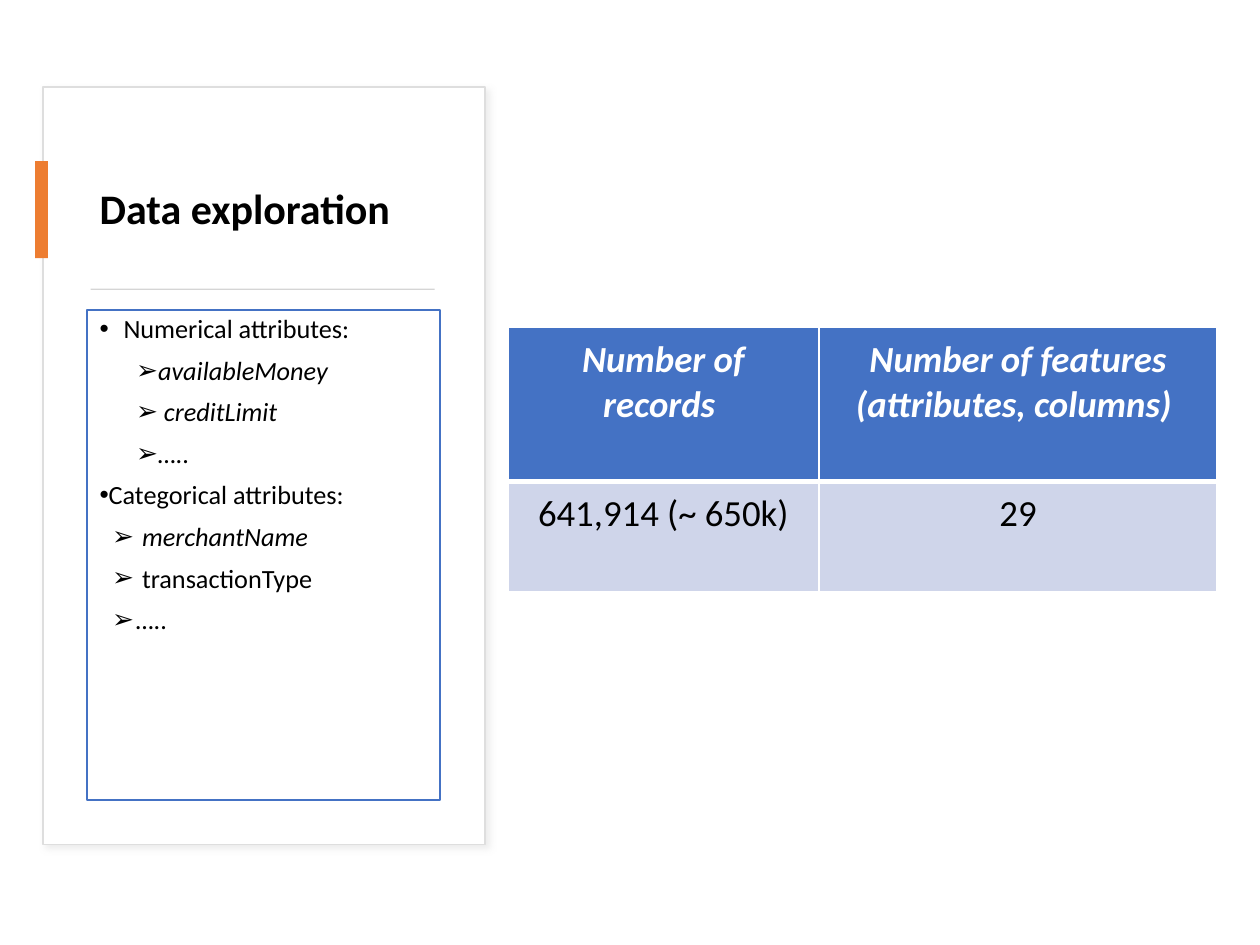
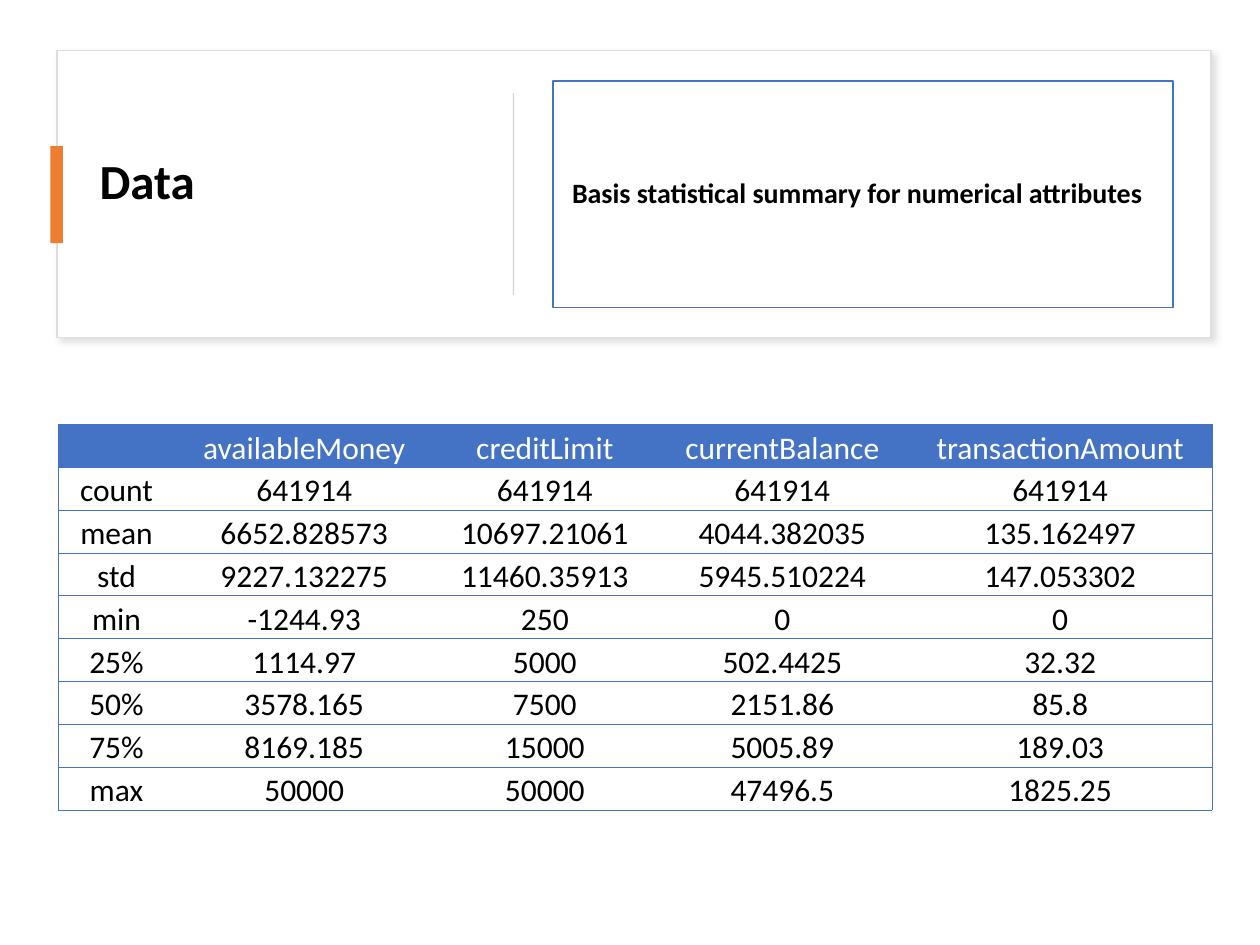
from dataclasses import dataclass

from lxml import etree
from pptx import Presentation
from pptx.dml.color import RGBColor
from pptx.enum.shapes import MSO_SHAPE
from pptx.enum.text import MSO_ANCHOR, MSO_AUTO_SIZE, PP_ALIGN
from pptx.oxml.ns import qn
from pptx.util import Inches, Pt

RECT = MSO_SHAPE.RECTANGLE
LEFT, CENTER = PP_ALIGN.LEFT, PP_ALIGN.CENTER
TOP, MIDDLE, BOTTOM = MSO_ANCHOR.TOP, MSO_ANCHOR.MIDDLE, MSO_ANCHOR.BOTTOM
NO_FIT = MSO_AUTO_SIZE.NONE
TITLE_AND_BODY = 1


@dataclass(frozen=True)
class Theme:
    """Colours, font and type sizes of the deck."""
    font: str = "Calibri"
    ink: str = "000000"
    paper: str = "FFFFFF"
    blue: str = "4472C4"
    pale_blue: str = "CFD5EA"
    orange: str = "ED7D31"
    card_line: str = "DEDEDE"
    divider: str = "D5D5D5"
    list_size: float = 15
    caption_size: float = 16
    stats_size: float = 18
    counts_size: float = 21


T = Theme()

ATTRIBUTES = [
    ("Numerical attributes:", "•", 0.19, -0.19, False),
    ("availableMoney", "➢", 0.46, -0.17, True),
    (" creditLimit", "➢", 0.46, -0.17, True),
    ("…..", "➢", 0.46, -0.17, True),
    ("Categorical attributes:", "•", 0.01, -0.19, False),
    (" merchantName", "➢", 0.29, -0.19, True),
    (" transactionType", "➢", 0.29, -0.19, False),
    ("…..", "➢", 0.29, -0.19, True),
]
COUNTS = [
    ("Number of records ", "Number of features (attributes, columns) "),
    ("641,914 (~ 650k)", "29"),
]
STATS = [
    ("", "availableMoney", "creditLimit", "currentBalance", "transactionAmount"),
    ("count", "641914", "641914", "641914", "641914"),
    ("mean", "6652.828573", "10697.21061", "4044.382035", "135.162497"),
    ("std", "9227.132275", "11460.35913", "5945.510224", "147.053302"),
    ("min", "-1244.93", "250", "0", "0"),
    ("25%", "1114.97", "5000", "502.4425", "32.32"),
    ("50%", "3578.165", "7500", "2151.86", "85.8"),
    ("75%", "8169.185", "15000", "5005.89", "189.03"),
    ("max", "50000", "50000", "47496.5", "1825.25"),
]


def rgb(color):
    """Turn a hex string into a colour."""
    return RGBColor.from_string(color)


def sub(parent, tag, **attrs):
    """Append an XML child with the given attributes."""
    el = etree.SubElement(parent, qn(tag))
    for name, value in attrs.items():
        el.set(name, str(value))
    return el


def write(p, text, *, size, color=T.ink, bold=False, italic=False, align=LEFT,
          line=None, before=None, bullet=None, margin=0, indent=0):
    """Write one formatted run into a paragraph."""
    p.alignment = align
    if line:
        p.line_spacing = line
    if before is not None:
        p.space_before = Pt(before)
    pPr = p._p.get_or_add_pPr()
    pPr.set("marL", str(Inches(margin)))
    pPr.set("indent", str(Inches(indent)))
    if bullet:
        sub(pPr, "a:buChar", char=bullet)
    else:
        sub(pPr, "a:buNone")
    r = p.add_run()
    r.text = text
    f = r.font
    f.name, f.size, f.bold, f.italic = T.font, Pt(size), bold, italic
    f.color.rgb = rgb(color)


def place(sp, box, dx, dy, w, h):
    """Move a shape to an offset inside a box."""
    sp.left, sp.top = Inches(box[0] + dx), Inches(box[1] + dy)
    sp.width, sp.height = Inches(w), Inches(h)


def style(sp, fill, line=None, width=1):
    """Set the fill and outline of a shape."""
    sp.fill.solid()
    sp.fill.fore_color.rgb = rgb(fill)
    if line:
        sp.line.color.rgb = rgb(line)
        sp.line.width = Pt(width)
    else:
        sp.line.fill.background()


def add_rect(s, box, part, fill, line=None, width=1):
    """Add a plain rectangle at an offset inside a box."""
    sp = s.shapes.add_shape(RECT, 0, 0, 0, 0)
    place(sp, box, *part)
    style(sp, fill, line, width)
    sp.shadow.inherit = False
    return sp


def add_card(s, box, line_width, shadow, accent, divider):
    """Add the shadowed card with its accent bar and divider behind the text."""
    card = add_rect(s, box, (0, 0, box[2], box[3]), T.paper, T.card_line, line_width)
    effects = card._element.spPr.find(qn("a:effectLst"))
    outer = sub(effects, "a:outerShdw", blurRad=Pt(4), dist=Pt(3),
                dir=45 * 60000, algn="tl", rotWithShape=0)
    sub(sub(outer, "a:srgbClr", val=shadow), "a:alpha", val=50000)
    bar = add_rect(s, box, accent, T.orange)
    rule = add_rect(s, box, divider, T.divider)
    for sp in (card, bar, rule):
        s.shapes.title.element.addprevious(sp.element)


def fill_title(s, box, part, text, size):
    """Place and write the slide title."""
    sp = s.shapes.title
    place(sp, box, *part)
    tf = sp.text_frame
    tf.auto_size, tf.vertical_anchor, tf.word_wrap = NO_FIT, MIDDLE, True
    write(tf.paragraphs[0], text, size=size, bold=True, line=0.9)


def fill_body(s, box, part, items, anchor=TOP):
    """Place the outlined body and write its paragraphs."""
    sp = s.placeholders[1]
    place(sp, box, *part)
    style(sp, T.paper, T.blue)
    tf = sp.text_frame
    tf.auto_size, tf.vertical_anchor, tf.word_wrap = NO_FIT, anchor, True
    for i, (text, fmt) in enumerate(items):
        p = tf.add_paragraph() if i else tf.paragraphs[0]
        write(p, text, line=0.9, before=7.5, **fmt)


def set_borders(cell, **sides):
    """Draw the sides l, r, t, b given as (colour, points); hide the others."""
    tcPr = cell._tc.get_or_add_tcPr()
    for i, side in enumerate("lrtb"):
        color, width = sides.get(side) or (None, 0)
        ln = etree.Element(qn(f"a:ln{side.upper()}"), w=str(Pt(width)))
        if color:
            sub(sub(ln, "a:solidFill"), "a:srgbClr", val=color)
        else:
            sub(ln, "a:noFill")
        tcPr.insert(i, ln)


def add_grid(s, box, rows, widths, heights, *, size, body_fill, insets, anchor,
             borders, header=None):
    """Add a table with a blue header row; borders(row, column) gives cell sides."""
    x, y, w, h = map(Inches, box)
    table = s.shapes.add_table(len(rows), len(widths), x, y, w, h).table
    for col, width in zip(table.columns, widths):
        col.width = Inches(width)
    for row, height in zip(table.rows, heights):
        row.height = Inches(height)
    for i, row in enumerate(rows):
        for j, text in enumerate(row):
            cell = table.cell(i, j)
            cell.margin_left = cell.margin_right = Inches(insets[0])
            cell.margin_top = cell.margin_bottom = Inches(insets[1])
            cell.vertical_anchor = anchor
            cell.fill.solid()
            cell.fill.fore_color.rgb = rgb(body_fill if i else T.blue)
            set_borders(cell, **borders(i, j))
            if text:
                fmt = {} if i else {"color": T.paper, **(header or {})}
                write(cell.text_frame.paragraphs[0], text, size=size, align=CENTER, **fmt)


def counts_borders(i, j):
    """White borders, heavier between the header and the body."""
    thin, thick = (T.paper, 1), (T.paper, 3)
    return {"l": thin, "r": thin, "t": thick if i else thin, "b": thin if i else thick}


def stats_borders(i, j):
    """Blue rules between rows and around the table."""
    rule = (T.blue, 0.5)
    return {"t": rule, "b": rule, "l": rule if j == 0 else None,
            "r": rule if j == len(STATS[0]) - 1 else None}


def exploration_slide(s, card, grid):
    """Build the slide with the attribute list and the record counts."""
    add_card(s, card, 0.75, "D9D9D9", (-0.06, 0.59, 0.1, 0.77), (0.38, 1.6, 2.73, 0.01))
    fill_title(s, card, (0.35, 0.38, 2.8, 1.21), "Data exploration", 24)
    items = [(text, dict(size=T.list_size, bullet=bullet, margin=margin,
                         indent=indent, italic=italic))
             for text, bullet, margin, indent, italic in ATTRIBUTES]
    fill_body(s, card, (0.35, 1.77, 2.8, 3.89), items)
    add_grid(s, grid, COUNTS, (2.47, 3.16), (1.22, 0.88), size=T.counts_size,
             body_fill=T.pale_blue, insets=(0.15, 0.08), anchor=TOP,
             borders=counts_borders, header={"bold": True, "italic": True})


def summary_slide(s, card, grid):
    """Build the slide with the statistical summary table."""
    add_card(s, card, 1, "C5C3C3", (-0.05, 0.76, 0.1, 0.77), (3.62, 0.34, 0.01, 1.6))
    fill_title(s, card, (0.24, 0.67, 1.02, 0.77), "Data", 28)
    caption = " Basis statistical summary for numerical attributes"
    fill_body(s, card, (3.94, 0.24, 4.92, 1.8),
              [(caption, dict(size=T.caption_size, bold=True))], MIDDLE)
    add_grid(s, grid, STATS, (0.93, 2.05, 1.77, 2, 2.41), [grid[3] / len(STATS)] * len(STATS),
             size=T.stats_size, body_fill=T.paper, insets=(0.06, 0), anchor=BOTTOM,
             borders=stats_borders)


def main():
    """Build and save the deck."""
    prs = Presentation()
    prs.slide_width, prs.slide_height = Inches(10), Inches(7.5)
    layout = prs.slide_layouts[TITLE_AND_BODY]
    exploration_slide(prs.slides.add_slide(layout),
                      (0.34, 0.69, 3.51, 6.01), (4.03, 2.6, 5.63, 2.1))
    summary_slide(prs.slides.add_slide(layout),
                  (0.45, 0.4, 9.16, 2.28), (0.46, 3.37, 9.16, 3.06))
    prs.save("out.pptx")


if __name__ == "__main__":
    main()
